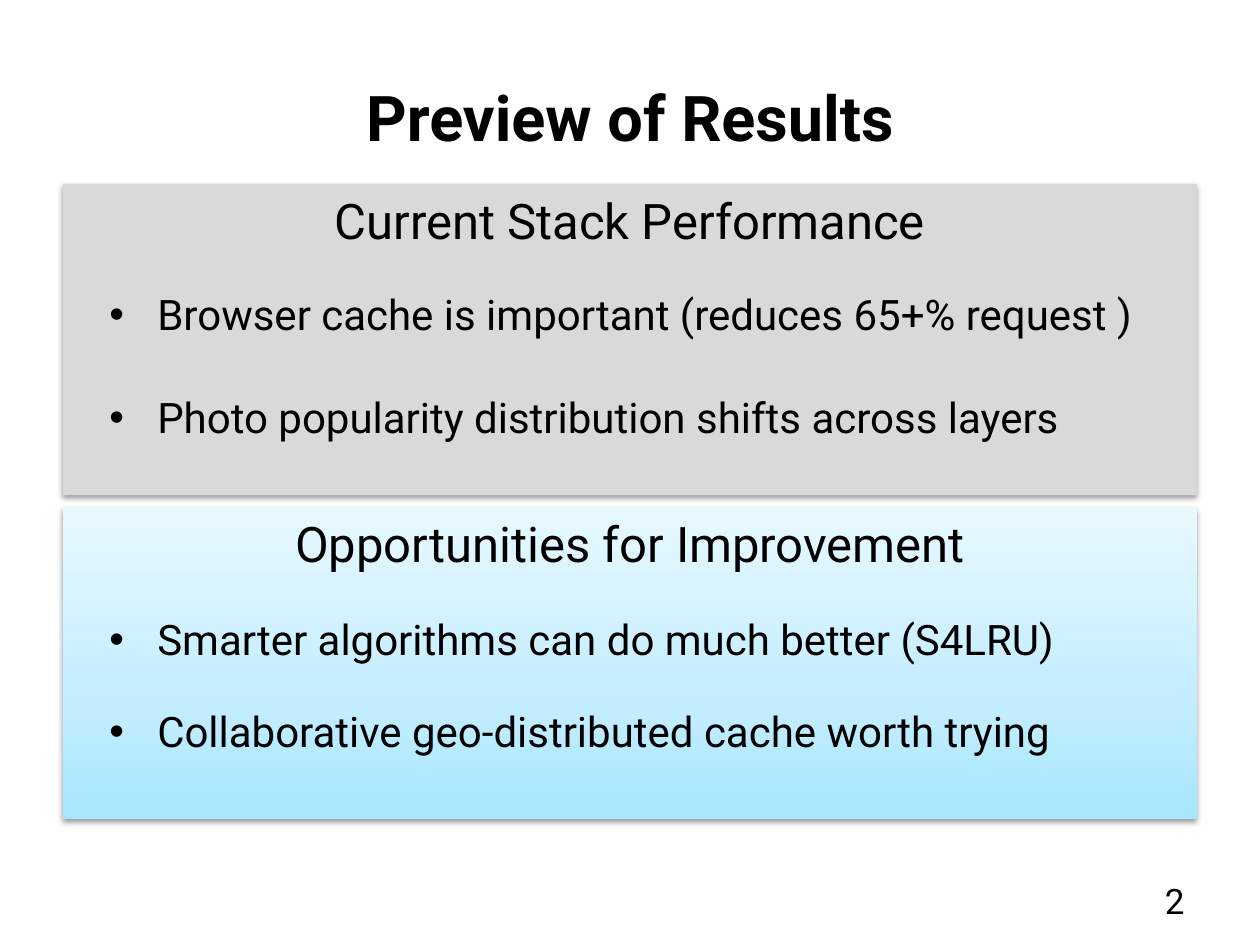
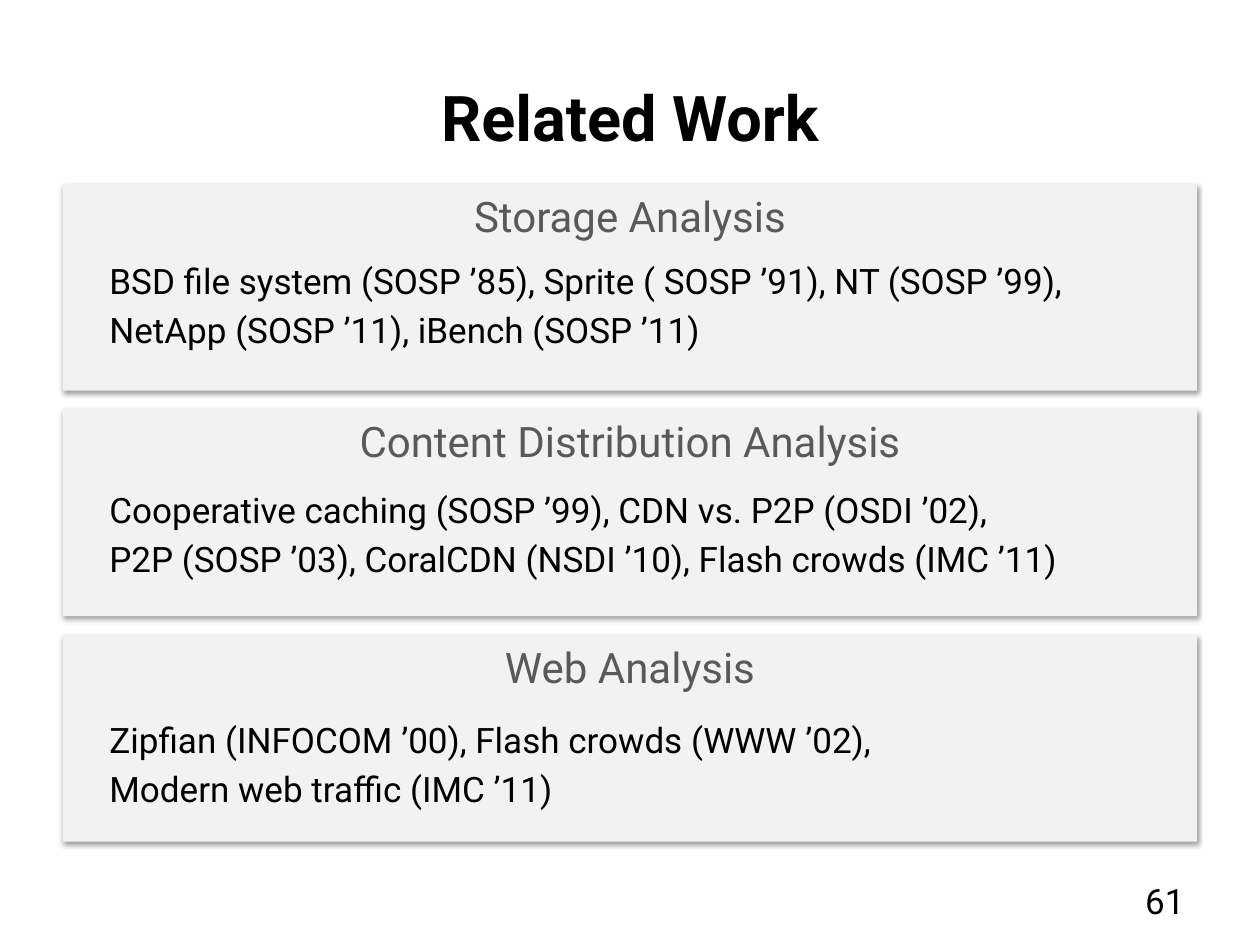
from lxml import etree
from pptx import Presentation
from pptx import util as u
from pptx.dml.color import RGBColor
from pptx.enum import shapes, text
from pptx.oxml.ns import qn

BLACK = RGBColor(0x00, 0x00, 0x00)
SLATE = RGBColor(0x59, 0x59, 0x59)
GRAY = RGBColor(0xD9, 0xD9, 0xD9)
PALE = RGBColor(0xF2, 0xF2, 0xF2)
SKY = [(0, RGBColor(0xA7, 0xE6, 0xFF)), (35, RGBColor(0xC1, 0xED, 0xFF)),
       (100, RGBColor(0xE7, 0xF8, 0xFF))]
FONT = "Roboto"


def node(up, tag, **attrs):
    """Add a drawing element with the given attributes."""
    item = etree.SubElement(up, qn(tag))
    for key, val in attrs.items():
        item.set(key, str(val))
    return item


class Deck:
    LEFT, WIDTH, TOP = 0.5, 9, 1.46
    INDENT = 0.77

    def __init__(self):
        self.prs = Presentation()
        self.prs.slide_width, self.prs.slide_height = u.Inches(10), u.Inches(7.5)
        self.slide = None

    def start(self, title, number):
        """Open a slide with its title and page number."""
        self.slide = self.prs.slides.add_slide(self.prs.slide_layouts[5])
        head = self.slide.shapes.title
        spot = dict(left=self.LEFT, top=0.3, width=self.WIDTH, height=1.25)
        for key, val in spot.items():
            setattr(head, key, u.Inches(val))
        head.text_frame.vertical_anchor = text.MSO_ANCHOR.MIDDLE
        self.letter(head.text_frame, [title], 36, align=text.PP_ALIGN.CENTER, bold=True)
        self.label([number], 7.17, 6.95, 2.33, 0.4, 20,
                   text.MSO_ANCHOR.MIDDLE, align=text.PP_ALIGN.RIGHT)

    def letter(self, frame, lines, size, color=BLACK, align=text.PP_ALIGN.LEFT,
               bold=False, bullet=False):
        """Fill a text frame, one paragraph a line."""
        frame.word_wrap = True
        style = dict(name=FONT, size=u.Pt(size), bold=bold)
        for i, line in enumerate(lines):
            para = frame.add_paragraph() if i else frame.paragraphs[0]
            para.text = line
            para.alignment = align
            para.space_before = u.Pt(0.2 * size if i else 0)
            if bullet:
                props = para._p.get_or_add_pPr()
                props.set("marL", str(u.Inches(0.38)))
                props.set("indent", str(u.Inches(-0.38)))
                node(props, "a:buFont", typeface="Arial")
                node(props, "a:buChar", char="•")
            font = para.runs[0].font
            for key, val in style.items():
                setattr(font, key, val)
            font.color.rgb = color

    def label(self, lines, left, top, width, height, size,
              anchor=text.MSO_ANCHOR.TOP, **style):
        """Place a plain text box."""
        box = self.slide.shapes.add_textbox(*map(u.Inches, (left, top, width, height)))
        box.text_frame.vertical_anchor = anchor
        self.letter(box.text_frame, lines, size, **style)

    def panel(self, head, top, height, fill, size, color=BLACK):
        """Draw a shadowed panel with its heading at the top."""
        box = self.slide.shapes.add_shape(
            shapes.MSO_SHAPE.RECTANGLE,
            *map(u.Inches, (self.LEFT, top, self.WIDTH, height)))
        if isinstance(fill, list):
            self.blend(box, fill)
        else:
            box.fill.solid()
            box.fill.fore_color.rgb = fill
        box.line.fill.background()
        self.shade(box)
        box.text_frame.vertical_anchor = text.MSO_ANCHOR.TOP
        self.letter(box.text_frame, [head], size, color, text.PP_ALIGN.CENTER)

    def blend(self, box, stops):
        """Fill a shape with a gradient that runs upwards."""
        box.fill.gradient()
        box.fill.gradient_angle = 90
        area = box._element.spPr.find(".//" + qn("a:gsLst"))
        for old in list(area):
            area.remove(old)
        for pos, color in stops:
            node(node(area, "a:gs", pos=pos * 1000), "a:srgbClr", val=color)

    def shade(self, box):
        """Give a shape a soft shadow below it."""
        box.shadow.inherit = False
        area = box._element.spPr.find(qn("a:effectLst"))
        cast = node(area, "a:outerShdw", blurRad=u.Pt(3.1), dist=u.Pt(1.6),
                    dir=90 * 60000, rotWithShape=0)
        node(node(cast, "a:srgbClr", val=BLACK), "a:alpha", val=38000)

    def point(self, line, top, width=8.27, height=0.6):
        """Place one bulleted line."""
        self.label([line], self.INDENT, top, width, height, 24, bullet=True)

    def cite(self, lines, top):
        """Place a block of cited works."""
        self.label(lines, self.INDENT, top, 8.27, 0.84, 20)


def preview(deck):
    deck.start("Preview of Results", "2")
    # Panels
    panels = [("Current Stack Performance", GRAY),
              ("Opportunities for Improvement", SKY)]
    for i, (head, fill) in enumerate(panels):
        deck.panel(head, deck.TOP + 2.57 * i, 2.47, fill, 28)
    # Findings
    deck.point("Browser cache is important (reduces 65+% request )", 2.24, 9.12, 0.69)
    deck.point("Photo popularity distribution shifts across layers", 3.06)
    deck.point("Smarter algorithms can do much better (S4LRU)", 4.82)
    deck.point("Collaborative geo-distributed cache worth trying", 5.55)


def related(deck):
    deck.start("Related Work", "61")
    # One panel for each field, with its works
    fields = [
        ("Storage Analysis",
         ["BSD file system (SOSP ’85), Sprite ( SOSP ’91), NT (SOSP ’99),",
          "NetApp (SOSP ’11), iBench (SOSP ’11)"]),
        ("Content Distribution Analysis",
         ["Cooperative caching (SOSP ’99), CDN vs. P2P (OSDI ’02),",
          "P2P (SOSP ’03), CoralCDN (NSDI ’10), Flash crowds (IMC ’11)"]),
        ("Web Analysis",
         ["Zipfian (INFOCOM ’00), Flash crowds (WWW ’02),",
          "Modern web traffic (IMC ’11)"]),
    ]
    for i, (head, works) in enumerate(fields):
        deck.panel(head, deck.TOP + 1.79 * i, 1.64, PALE, 24, SLATE)
        deck.cite(works, 2.01 + 1.82 * i)


def main():
    deck = Deck()
    preview(deck)
    related(deck)
    deck.prs.save("out.pptx")


if __name__ == "__main__":
    main()
